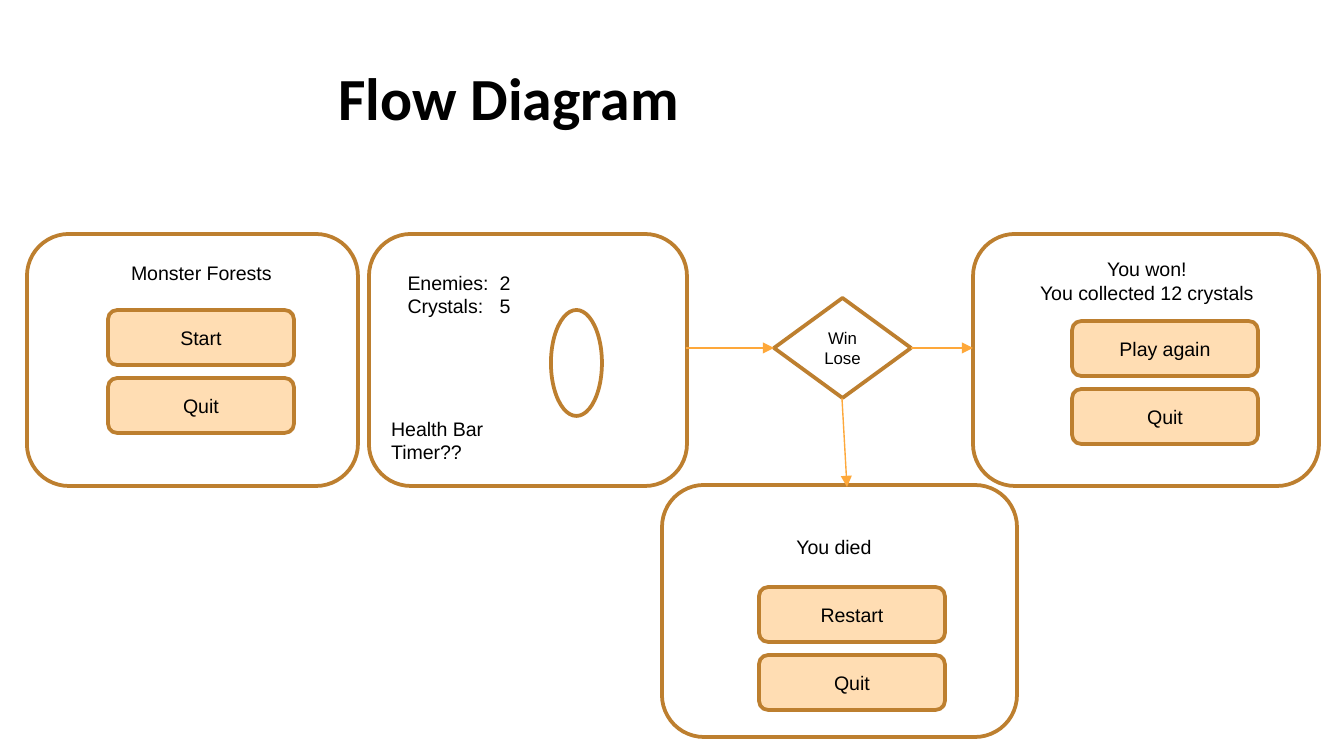
from dataclasses import dataclass

from lxml import etree
from pptx import Presentation
from pptx import util as u
from pptx.dml import color
from pptx.enum import shapes, text
from pptx.oxml import ns

SCALE = 914400 / 134.4  # EMU per pixel


@dataclass(frozen=True)
class Theme:
    border: str = "BD7F2F"
    button: str = "FFDDB3"
    arrow: str = "FEA83A"
    ink: str = "000000"
    title_font: str = "Calibri"
    body_font: str = "Arial"
    title_size: float = 32
    body_size: float = 10.5
    small_size: float = 9
    border_width: float = 2
    arrow_width: float = 0.75


THEME = Theme()
KINDS = shapes.MSO_SHAPE
ALIGN = text.PP_ALIGN


def px(value):
    return u.Emu(round(value * SCALE))


def rgb(value):
    return color.RGBColor.from_string(value)


def write(shape, lines, size=THEME.body_size, font=THEME.body_font,
          align=ALIGN.CENTER, anchor=text.MSO_ANCHOR.MIDDLE, bold=False):
    frame = shape.text_frame
    frame.word_wrap = True
    frame.vertical_anchor = anchor
    for index, line in enumerate(lines):
        paragraph = frame.add_paragraph() if index else frame.paragraphs[0]
        paragraph.alignment = align
        run = paragraph.add_run()
        run.text = line
        run.font.size = u.Pt(size)
        run.font.name = font
        run.font.bold = bold
        run.font.color.rgb = rgb(THEME.ink)


def add_box(slide, box, kind=KINDS.ROUNDED_RECTANGLE, fill=None, border=True):
    shape = slide.shapes.add_shape(kind, *map(px, box))
    shape.shadow.inherit = False
    if fill:
        shape.fill.solid()
        shape.fill.fore_color.rgb = rgb(fill)
    else:
        shape.fill.background()
    if border:
        shape.line.color.rgb = rgb(THEME.border)
        shape.line.width = u.Pt(THEME.border_width)
    else:
        shape.line.fill.background()
    return shape


def add_arrow(slide, start, end):
    arrow = slide.shapes.add_connector(
        shapes.MSO_CONNECTOR.STRAIGHT, *map(px, start + end))
    arrow.line.color.rgb = rgb(THEME.arrow)
    arrow.line.width = u.Pt(THEME.arrow_width)
    etree.SubElement(arrow.line._get_or_add_ln(), ns.qn("a:tailEnd"), type="triangle")
    etree.SubElement(arrow._element.spPr, ns.qn("a:effectLst"))


def add_title(slide, box, title):
    shape = slide.shapes.title
    shape.left, shape.top, shape.width, shape.height = map(px, box)
    write(shape, [title], THEME.title_size, THEME.title_font, ALIGN.LEFT,
          text.MSO_ANCHOR.TOP, bold=True)
    shape.text_frame.word_wrap = False


def add_menu_screen(slide, box, label_box, label, button_offset, buttons):
    """Screen with a caption above a column of equal buttons."""
    left, top = box[:2]
    add_box(slide, box)
    x, y, width, height = label_box
    write(add_box(slide, (left + x, top + y, width, height), border=False), label)
    x, y = button_offset
    for index, caption in enumerate(buttons):
        button = add_box(slide, (left + x, top + y + 68 * index, 186, 55),
                         fill=THEME.button)
        write(button, [caption])


def add_game_screen(slide, box):
    """Screen with the counters, the player and the status notes."""
    left, top = box[:2]
    add_box(slide, box)
    counters = add_box(slide, (left + 22, top + 25, 160, 70), border=False)
    write(counters, ["Enemies:\t2", "Crystals:\t5"], align=ALIGN.LEFT)
    for paragraph in counters.text_frame.paragraphs:
        tabs = etree.SubElement(paragraph._p.get_or_add_pPr(), ns.qn("a:tabLst"))
        etree.SubElement(tabs, ns.qn("a:tab"), pos=str(px(92)), algn="l")
    add_box(slide, (left + 182, top + 76, 51, 106), KINDS.OVAL)
    notes = slide.shapes.add_textbox(*map(px, (left + 9, top + 161, 271, 90)))
    write(notes, ["Health Bar", "Timer??"], align=ALIGN.LEFT)


def add_decision(slide, box):
    """Diamond with arrows from the game and to both outcomes."""
    left, top, width, height = box
    middle, right = top + height / 2, left + width
    write(add_box(slide, box, KINDS.DIAMOND), ["Win", "Lose"], THEME.small_size)
    add_arrow(slide, (left - 88, middle), (left, middle))
    add_arrow(slide, (right, middle), (right + 62, middle))
    add_arrow(slide, (left + 68, top + height), (left + 73, top + height + 89))


def main():
    presentation = Presentation()
    presentation.slide_width, presentation.slide_height = px(1344), px(756)
    slide = presentation.slides.add_slide(presentation.slide_layouts[5])
    add_title(slide, (325, 54, 372, 86), "Flow Diagram")

    # Start, game and outcome screens
    add_menu_screen(slide, (27, 234, 331, 252), (51, 16, 247, 46),
                    ["Monster Forests"], (81, 76), ["Start", "Quit"])
    add_game_screen(slide, (369, 234, 318, 252))
    add_menu_screen(slide, (973, 234, 346, 252), (35, 19, 278, 55),
                    ["You won!", "You collected 12 crystals"],
                    (99, 87), ["Play again", "Quit"])
    add_menu_screen(slide, (662, 485, 355, 252), (33, 34, 278, 55),
                    ["You died"], (97, 102), ["Restart", "Quit"])

    # Win or lose
    add_decision(slide, (774, 298, 137, 100))
    presentation.save("out.pptx")


main()
